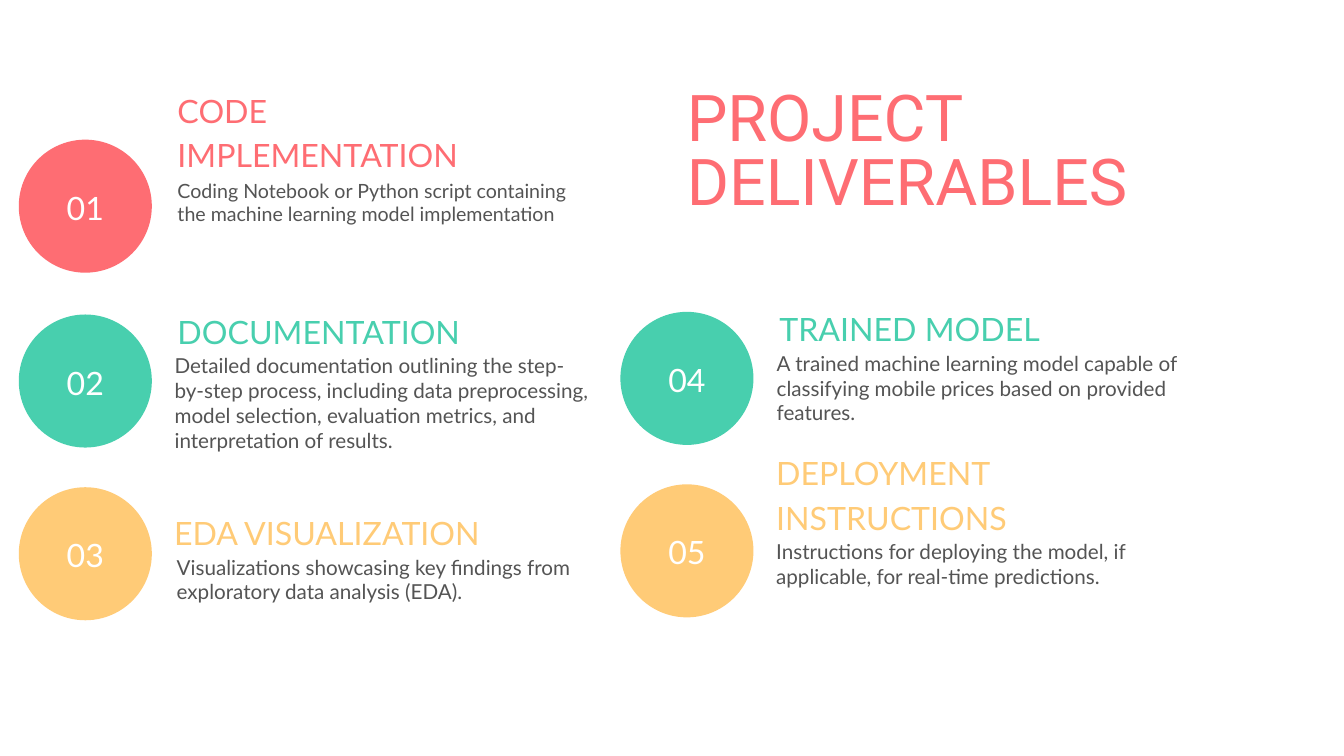
from pptx import Presentation
from pptx.dml.color import RGBColor
from pptx.enum.shapes import MSO_SHAPE as Shape
from pptx.enum.text import MSO_ANCHOR as Anchor, MSO_AUTO_SIZE as AutoSize, PP_ALIGN as Align
from pptx.util import Cm, Pt

CORAL = RGBColor(0xFE, 0x6D, 0x73)
GREEN = RGBColor(0x48, 0xCF, 0xAE)
YELLOW = RGBColor(0xFF, 0xCB, 0x77)
GREY = RGBColor(0x54, 0x54, 0x54)
WHITE = RGBColor(0xFF, 0xFF, 0xFF)

CIRCLE_SIZE = 5.03
LEFT_COLUMN, RIGHT_COLUMN = 0.71, 23.45


def write(shape, text, size, spacing, color, font="Lato", align=Align.LEFT, anchor=Anchor.TOP):
    """Fill a shape with one paragraph, without insets; size and spacing are in points."""
    frame = shape.text_frame
    frame.word_wrap = True
    frame.auto_size = AutoSize.NONE
    frame.vertical_anchor = anchor
    frame.margin_left = frame.margin_right = frame.margin_top = frame.margin_bottom = 0
    frame.text = text
    paragraph = frame.paragraphs[0]
    paragraph.alignment = align
    paragraph.line_spacing = Pt(spacing)
    paragraph.space_before = Pt(0)
    paragraph.font.name = font
    paragraph.font.size = Pt(size)
    paragraph.font.color.rgb = color


presentation = Presentation()
presentation.slide_width = Cm(50.8)
presentation.slide_height = Cm(28.58)
slide = presentation.slides.add_slide(presentation.slide_layouts[5])

title = slide.shapes.title
title.left, title.top, title.width, title.height = Cm(25.96), Cm(3.42), Cm(20.07), Cm(4.95)
write(title, "PROJECT DELIVERABLES", 69.1, 68.4, CORAL, font="Roboto")

# number, color, circle left and top,
# heading and its box, description and its box, description size and spacing
deliverables = [
    ("01", CORAL, LEFT_COLUMN, 5.28,
     "CODE IMPLEMENTATION", (6.71, 3.2, 11.81, 3.33),
     "Coding Notebook or Python script containing the machine learning model implementation",
     (6.71, 6.76, 15.01, 2.62), 21, 25.2),
    ("02", GREEN, LEFT_COLUMN, 11.89,
     "DOCUMENTATION", (6.71, 11.56, 11.23, 1.63),
     "Detailed documentation outlining the step-by-step process, including data "
     "preprocessing, model selection, evaluation metrics, and interpretation of results.",
     (6.6, 13.36, 15.8, 4.57), 22.1, 26.5),
    ("03", YELLOW, LEFT_COLUMN, 18.42,
     "EDA VISUALIZATION", (6.58, 19.18, 13.61, 1.63),
     "Visualizations showcasing key findings from exploratory data analysis (EDA).",
     (6.68, 20.96, 15.8, 2.74), 22.1, 26.5),
    ("04", GREEN, RIGHT_COLUMN, 11.79,
     "TRAINED MODEL", (29.46, 11.46, 11.23, 1.63),
     "A trained machine learning model capable of classifying mobile prices "
     "based on provided features.",
     (29.36, 13.26, 15.8, 3.66), 22.1, 26.5),
    ("05", YELLOW, RIGHT_COLUMN, 18.31,
     "DEPLOYMENT INSTRUCTIONS", (29.34, 16.89, 11.35, 3.33),
     "Instructions for deploying the model, if applicable, for real-time predictions.",
     (29.34, 20.37, 15.8, 2.74), 22.1, 26.5),
]

for (number, color, left, top, heading, heading_box,
     description, description_box, size, spacing) in deliverables:
    circle = slide.shapes.add_shape(
        Shape.OVAL, Cm(left), Cm(top), Cm(CIRCLE_SIZE), Cm(CIRCLE_SIZE))
    circle.shadow.inherit = False
    circle.fill.solid()
    circle.fill.fore_color.rgb = color
    circle.line.fill.background()
    write(circle, number, 34.4, 48.1, WHITE, align=Align.CENTER, anchor=Anchor.MIDDLE)
    circle.text_frame.margin_bottom = Cm(0.15)

    heading_shape = slide.shapes.add_textbox(*map(Cm, heading_box))
    write(heading_shape, heading, 34.4, 48.1, color)

    description_shape = slide.shapes.add_textbox(*map(Cm, description_box))
    write(description_shape, description, size, spacing, GREY)

presentation.save("out.pptx")
